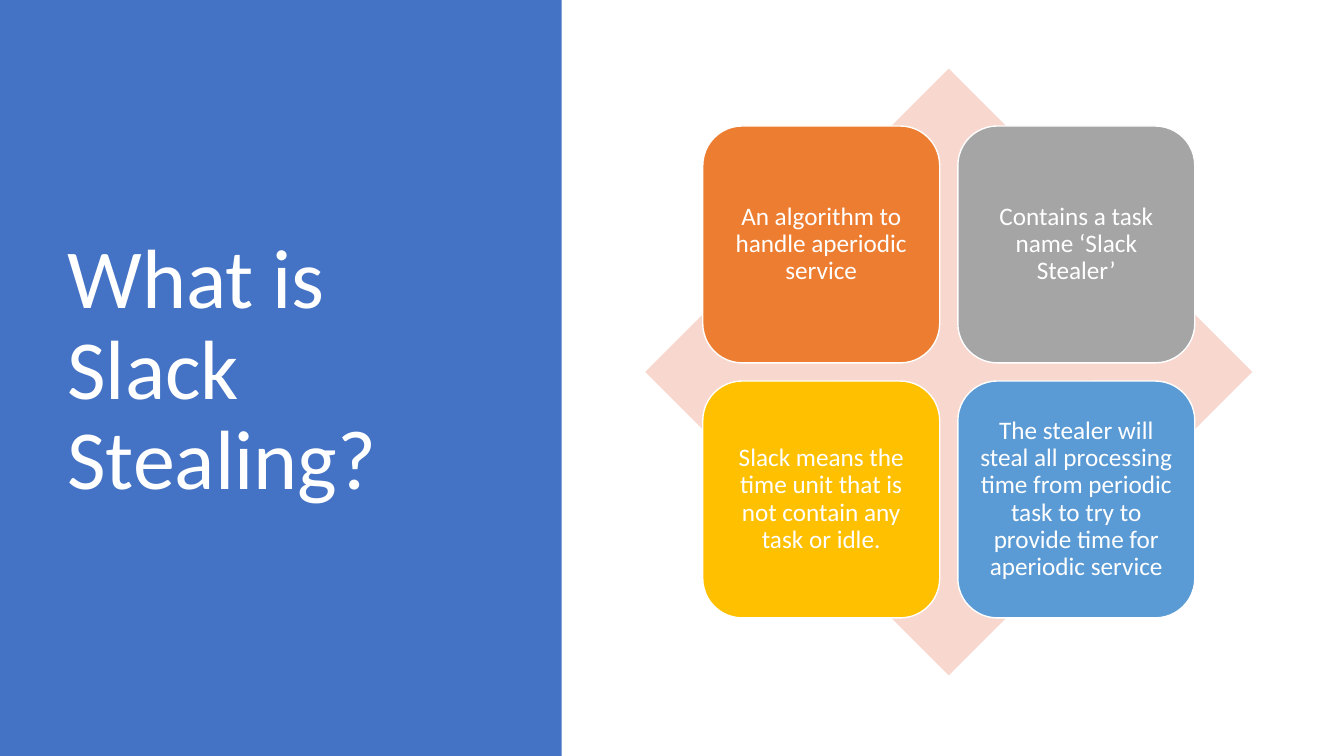
from dataclasses import dataclass

from pptx import Presentation
from pptx import util as u
from pptx.dml.color import RGBColor
from pptx.enum import shapes, text


@dataclass(frozen=True)
class Theme:
    font: str = "Calibri"
    title_size: int = 60
    card_size: int = 18
    white: str = "FFFFFF"
    panel: str = "4472C4"
    diamond: str = "F8D7CE"
    cards: tuple = ("ED7D31", "A5A5A5", "FFC000", "5B9BD5")


class SlideBuilder:
    """Draws styled elements on one slide."""

    def __init__(self, slide, theme):
        self.slide = slide
        self.theme = theme

    def shape(self, kind, box, fill, outlined=False):
        sp = self.slide.shapes.add_shape(kind, *map(u.Inches, box))
        sp.shadow.inherit = False
        sp.fill.solid()
        sp.fill.fore_color.rgb = RGBColor.from_string(fill)
        if outlined:
            sp.line.color.rgb = RGBColor.from_string(self.theme.white)
            sp.line.width = u.Pt(1)
        else:
            sp.line.fill.background()
        return sp

    def set_text(self, sp, words, size, align):
        tf = sp.text_frame
        tf.text = words
        tf.word_wrap = True
        tf.vertical_anchor = text.MSO_ANCHOR.MIDDLE
        p = tf.paragraphs[0]
        p.alignment = align
        p.line_spacing = 0.9
        font = p.runs[0].font
        font.name = self.theme.font
        font.size = u.Pt(size)
        font.color.rgb = RGBColor.from_string(self.theme.white)
        return tf

    def title(self, words, box):
        sp = self.slide.shapes.add_textbox(*map(u.Inches, box))
        self.set_text(sp, words, self.theme.title_size, text.PP_ALIGN.LEFT)

    def card(self, words, box, fill):
        sp = self.shape(shapes.MSO_SHAPE.ROUNDED_RECTANGLE, box, fill, outlined=True)
        tf = self.set_text(sp, words, self.theme.card_size, text.PP_ALIGN.CENTER)
        tf.margin_left = tf.margin_right = u.Inches(0.07)
        tf.margin_top = tf.margin_bottom = u.Inches(0.07)


CARD_TEXTS = (
    "An algorithm to handle aperiodic service",
    "Contains a task name ‘Slack Stealer’",
    "Slack means the time unit that is not contain any task or idle.",
    "The stealer will steal all processing time from periodic task "
    "to try to provide time for aperiodic service",
)
CARD_LEFT, CARD_TOP, CARD_SIDE, CARD_STEP = 6.97, 1.25, 2.35, 2.53


def main():
    prs = Presentation()
    prs.slide_width, prs.slide_height = u.Inches(13.33), u.Inches(7.5)
    theme = Theme()
    s = SlideBuilder(prs.slides.add_slide(prs.slide_layouts[6]), theme)

    s.shape(shapes.MSO_SHAPE.RECTANGLE, (0, 0, 5.57, 7.5), theme.panel)
    s.title("What is Slack Stealing?", (0.57, 0.68, 4.16, 6.02))
    s.shape(shapes.MSO_SHAPE.DIAMOND, (6.4, 0.68, 6.02, 6.02), theme.diamond)
    for i, (words, fill) in enumerate(zip(CARD_TEXTS, theme.cards)):
        row, col = divmod(i, 2)
        left, top = CARD_LEFT + col * CARD_STEP, CARD_TOP + row * CARD_STEP
        s.card(words, (left, top, CARD_SIDE, CARD_SIDE), fill)

    prs.save("out.pptx")


if __name__ == "__main__":
    main()
